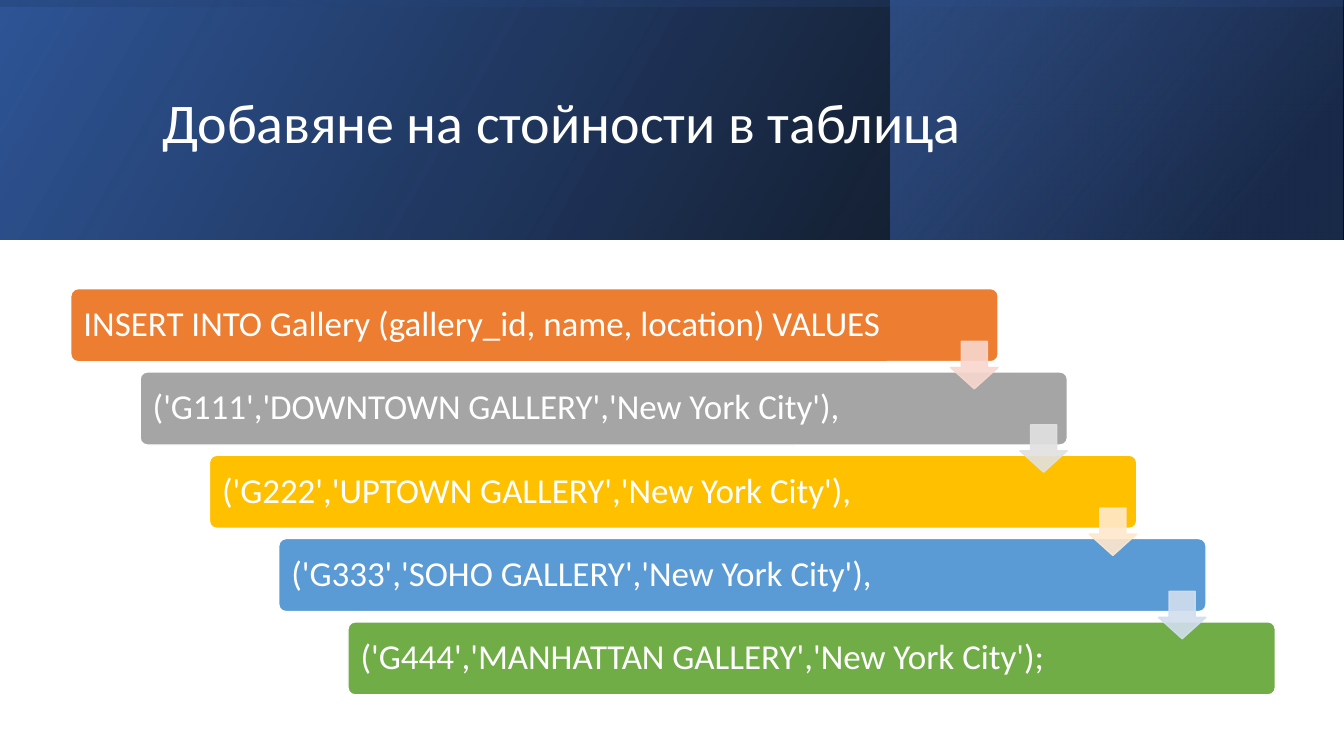
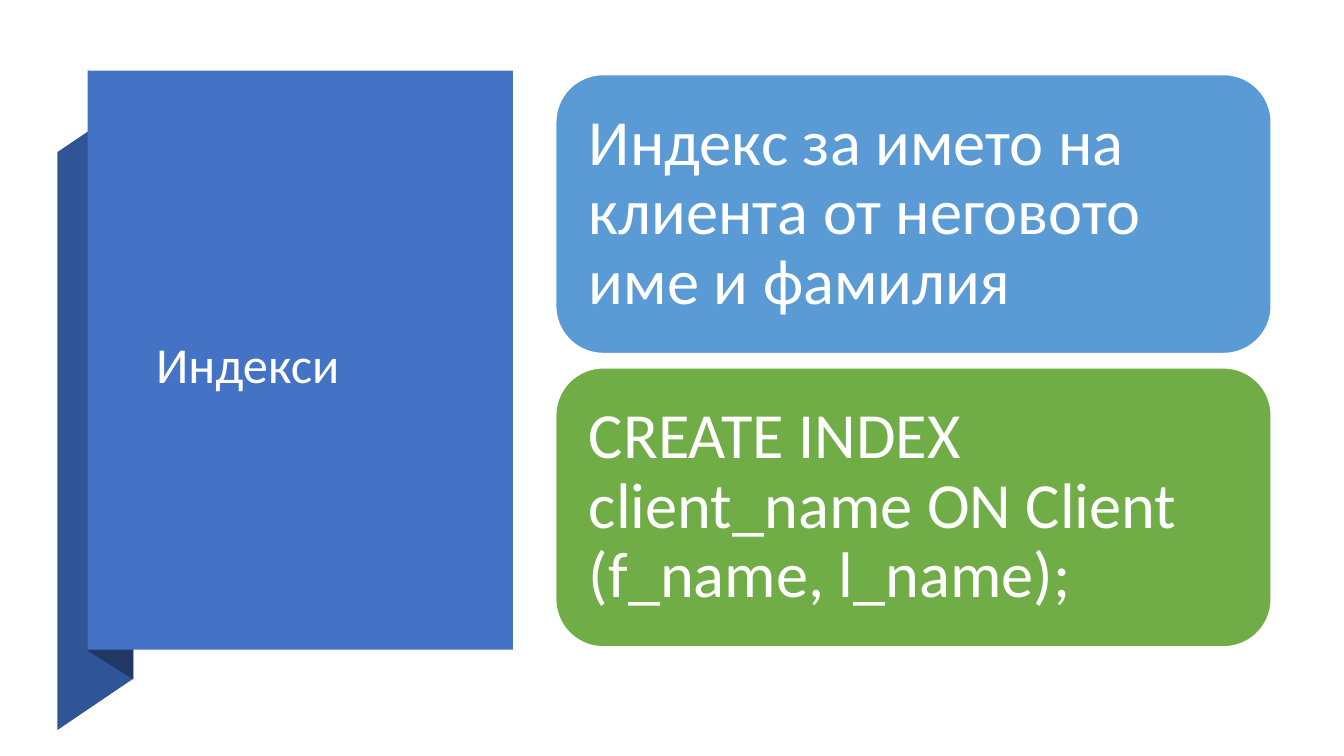
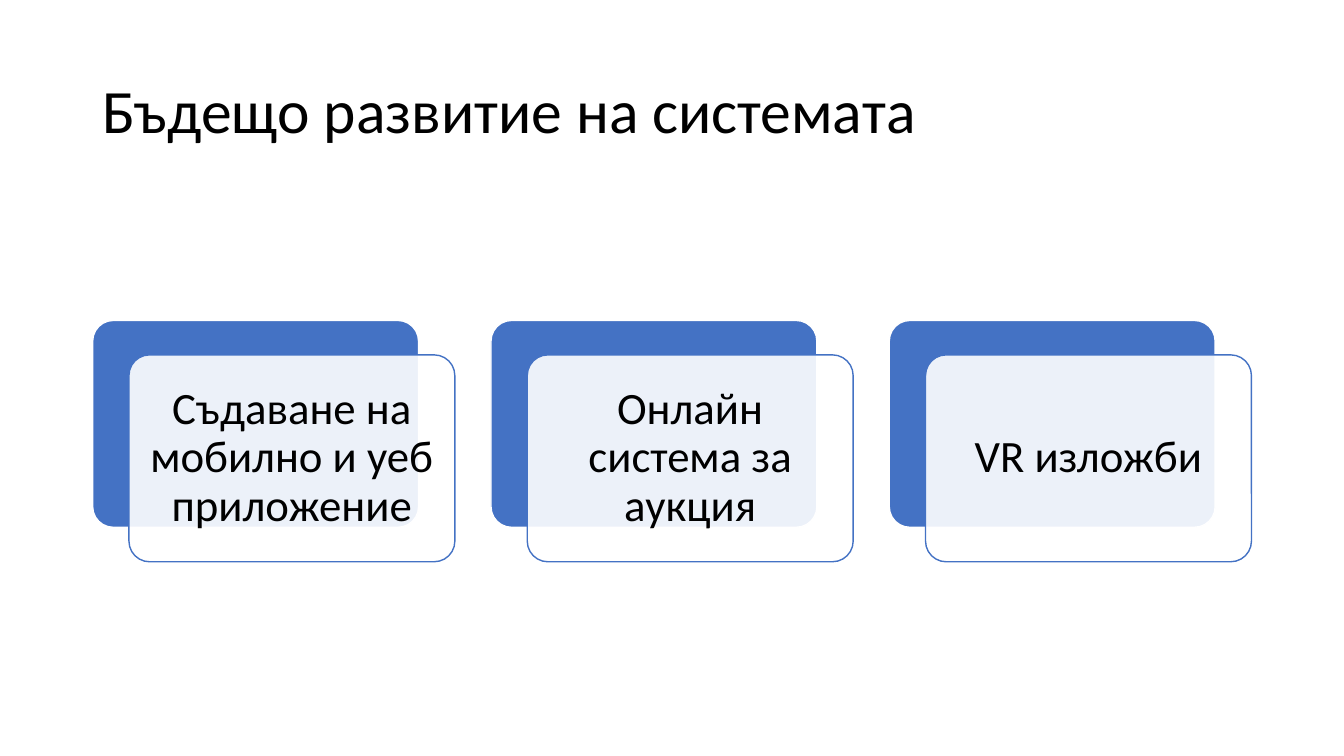
from dataclasses import dataclass

from pptx import Presentation
from pptx import util as u
from pptx.dml.color import RGBColor
from pptx.enum import shapes, text
from pptx.oxml import ns
from lxml import etree

Pt = u.Pt
Kind = shapes.MSO_SHAPE
Align = text.PP_ALIGN

# Shared style
WIDTH, HEIGHT = 960, 540
FONT = "Calibri"
WHITE, BLACK = "FFFFFF", "000000"
BLUE, DEEP_BLUE, NAVY = "4472C4", "2F5597", "203864"
ORANGE, GREY, GOLD, SKY, GREEN = "ED7D31", "A5A5A5", "FFC000", "5B9BD5", "70AD47"


@dataclass
class Box:
    left: float
    top: float
    width: float
    height: float

    def moved(self, dx: float, dy: float) -> "Box":
        return Box(self.left + dx, self.top + dy, self.width, self.height)

    def lengths(self) -> list:
        return [Pt(v) for v in (self.left, self.top, self.width, self.height)]


@dataclass
class Stop:
    position: float
    colour: str
    opacity: int


@dataclass
class Band:
    box: Box
    angle: int
    stops: tuple[Stop, Stop]
    rotation: int = 0


@dataclass
class Step:
    words: str
    colour: str
    arrow: str = ""


def rgb(colour: str) -> RGBColor:
    return RGBColor.from_string(colour)


def set_opacity(colour_element, percent: int) -> None:
    alpha = etree.SubElement(colour_element, ns.qn("a:alpha"))
    alpha.set("val", str(percent * 1000))


def paint(shape, fill: str, line: str = "", fill_opacity: int = 100,
          line_opacity: int = 100) -> None:
    """Give a shape a plain fill and a one-point line, or no line."""
    shape.shadow.inherit = False
    properties = shape._element.spPr
    shape.fill.solid()
    shape.fill.fore_color.rgb = rgb(fill)
    parts = [(properties, fill_opacity)]
    if line:
        shape.line.color.rgb = rgb(line)
        shape.line.width = Pt(1)
        parts.append((properties.find(ns.qn("a:ln")), line_opacity))
    else:
        shape.line.fill.background()
    for holder, percent in parts:
        if percent < 100:
            solid = holder.find(ns.qn("a:solidFill"))
            set_opacity(solid.find(ns.qn("a:srgbClr")), percent)


def write(shape, words: str, size: float, colour: str = WHITE,
          align=Align.LEFT, inset: tuple[float, float] = (7.2, 3.6)) -> None:
    frame = shape.text_frame
    across, down = Pt(inset[0]), Pt(inset[1])
    paragraph = frame.paragraphs[0]
    run = paragraph.add_run()
    run.text = words
    run.font.color.rgb = rgb(colour)
    formats = {
        frame: {"word_wrap": True, "vertical_anchor": text.MSO_ANCHOR.MIDDLE,
                "margin_left": across, "margin_right": across,
                "margin_top": down, "margin_bottom": down},
        paragraph: {"alignment": align, "line_spacing": 0.9},
        run.font: {"name": FONT, "size": Pt(size)},
    }
    for target, values in formats.items():
        for attribute, value in values.items():
            setattr(target, attribute, value)


def add_title(slide, words: str, box: Box, size: float, colour: str = WHITE) -> None:
    write(slide.shapes.add_textbox(*box.lengths()), words, size, colour)


def add_card(slide, box: Box, fill: str, line: str = WHITE, rounding: float = 0.1,
             opacity: int = 100):
    card = slide.shapes.add_shape(Kind.ROUNDED_RECTANGLE, *box.lengths())
    card.adjustments[0] = rounding
    paint(card, fill, line, opacity)
    return card


def fill_card(card, words: str, size: float, colour: str = WHITE,
              align=Align.LEFT) -> None:
    margin = 0.3 * size
    write(card, words, size, colour, align, (margin, margin))


def add_band(slide, band: Band) -> None:
    """Draw a mirrored rectangle with a two-stop translucent gradient."""
    shape = slide.shapes.add_shape(Kind.RECTANGLE, *band.box.lengths())
    shape.shadow.inherit = False
    shape.line.fill.background()
    shape.rotation = band.rotation
    shape._element.spPr.xfrm.set("flipH", "1")
    shape.fill.gradient()
    shape.fill.gradient_angle = band.angle
    for target, stop in zip(shape.fill.gradient_stops, band.stops):
        target.position = stop.position
        target.color.rgb = rgb(stop.colour)
    colours = shape._element.spPr.iter(ns.qn("a:srgbClr"))
    for element, stop in zip(list(colours), band.stops):
        set_opacity(element, stop.opacity)


def add_fold(slide, points: list[tuple[float, float]], colour: str) -> None:
    corners = [(Pt(x), Pt(y)) for x, y in points]
    builder = slide.shapes.build_freeform(*corners[0])
    builder.add_line_segments(corners[1:], close=True)
    paint(builder.convert_to_shape(), colour)


def build_insert_slide(slide) -> None:
    # Header made of three layered gradients
    depth = 170.8
    offset = (WIDTH - depth) / 2
    bands = [
        Band(Box(0, 0, WIDTH, depth), 30,
             (Stop(0, BLACK, 96), Stop(1, DEEP_BLUE, 100))),
        Band(Box(636.2, 0, 323, depth), 40,
             (Stop(0.19, NAVY, 68), Stop(1, BLUE, 48))),
        Band(Box(offset, -offset, depth, WIDTH), 10,
             (Stop(0.23, DEEP_BLUE, 16), Stop(0.99, BLACK, 45)), 270),
    ]
    for band in bands:
        add_band(slide, band)
    add_title(slide, "Добавяне на стойности в таблица",
              Box(108.7, 27.4, 765.4, 123.8), 40)

    # Staircase of statement lines
    steps = [
        Step("INSERT INTO Gallery (gallery_id, name, location) VALUES", ORANGE, "F8D7CE"),
        Step("('G111','DOWNTOWN GALLERY','New York City'),", GREY, "E1E1E1"),
        Step("('G222','UPTOWN GALLERY','New York City'),", GOLD, "FFE8CC"),
        Step("('G333','SOHO GALLERY','New York City'),", SKY, "D2DEEF"),
        Step("('G444','MANHATTAN GALLERY','New York City');", GREEN),
    ]
    first_step = Box(50.6, 206.2, 662.4, 52.2)
    first_arrow = Box(679, 243.9, 33.9, 33.9)
    across, down = 49.5, 59.5
    for i, step in enumerate(steps):
        card = add_card(slide, first_step.moved(i * across, i * down), step.colour)
        fill_card(card, step.words, 25)

    # Arrows over the steps
    for i, step in enumerate(steps[:-1]):
        place = first_arrow.moved(i * across, i * down)
        arrow = slide.shapes.add_shape(Kind.DOWN_ARROW, *place.lengths())
        arrow.adjustments[0], arrow.adjustments[1] = 0.55, 0.45
        paint(arrow, step.arrow, step.arrow, 90, 90)


def build_index_slide(slide) -> None:
    # Folded ribbon behind the title panel
    add_fold(slide, [(41, 521.5), (95.2, 484.8), (95.2, 72), (41, 108.7)], DEEP_BLUE)
    add_fold(slide, [(63, 465), (95.2, 485.2), (95.2, 71.3), (63, 50.4)], NAVY)
    panel = Box(62.7, 50.5, 303.7, 413.6)
    paint(slide.shapes.add_shape(Kind.RECTANGLE, *panel.lengths()), BLUE)
    add_title(slide, "Индекси", Box(104.4, 120.2, 216.7, 283.7), 36)

    # Task and its statement
    cards = [
        ("Индекс за името на клиента от неговото име и фамилия", SKY),
        ("CREATE INDEX client_name ON Client (f_name, l_name);", GREEN),
    ]
    first_card = Box(397, 53.3, 511, 199.2)
    for i, (words, colour) in enumerate(cards):
        card = add_card(slide, first_card.moved(0, i * 209.5), colour, rounding=0.17)
        fill_card(card, words, 46)


def build_future_slide(slide) -> None:
    add_title(slide, "Бъдещо развитие на системата",
              Box(66, 28.8, 828, 104.4), 44, BLACK)

    # Plans on offset double cards
    plans = ["Съдаване на мобилно и уеб приложение", "Онлайн система за аукция",
             "VR изложби"]
    first_back = Box(66.2, 228.9, 232.8, 147.8)
    for i, plan in enumerate(plans):
        back = first_back.moved(i * 284.5, 0)
        add_card(slide, back, BLUE)
        front = add_card(slide, back.moved(25.9, 24.6), WHITE, BLUE, opacity=90)
        fill_card(front, plan, 32, BLACK, Align.CENTER)


def main() -> None:
    deck = Presentation()
    deck.slide_width, deck.slide_height = Pt(WIDTH), Pt(HEIGHT)
    blank = deck.slide_layouts[6]
    for build in (build_insert_slide, build_index_slide, build_future_slide):
        build(deck.slides.add_slide(blank))
    deck.save("out.pptx")


if __name__ == "__main__":
    main()
